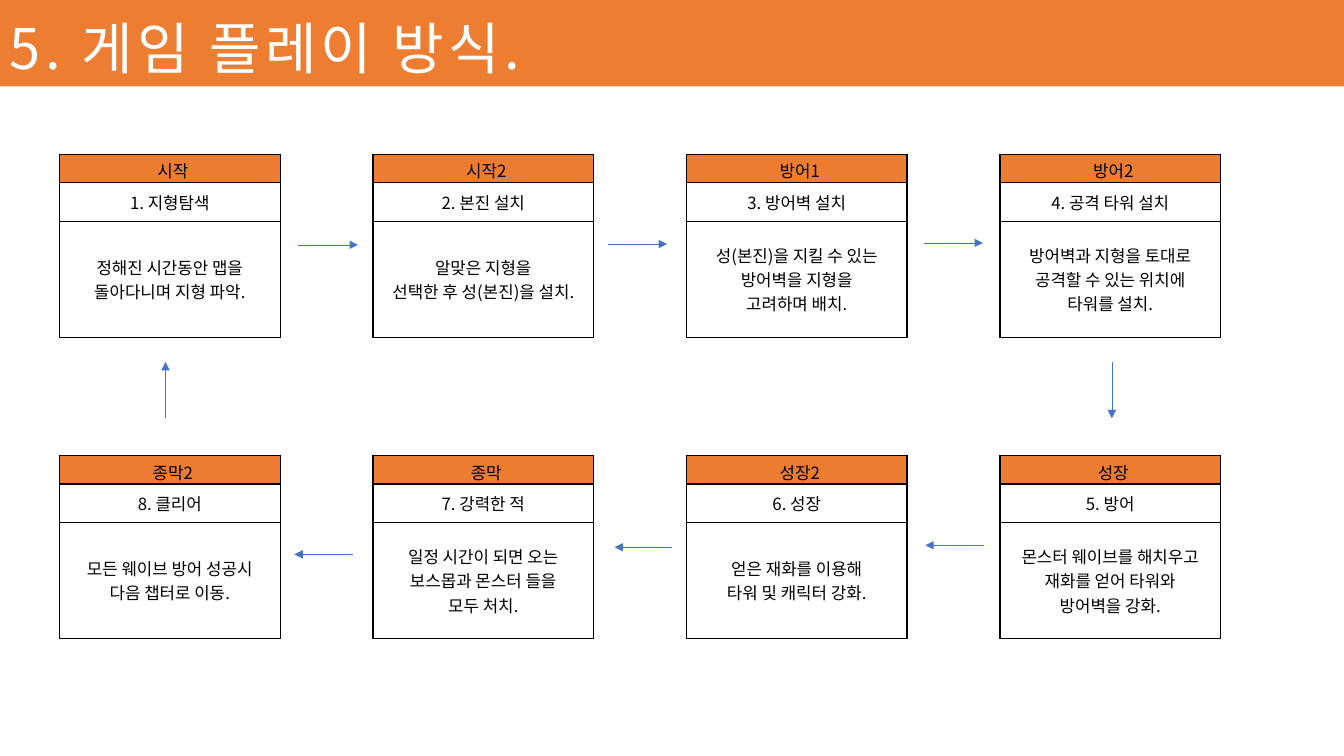
from lxml import etree
from pptx import Presentation
from pptx.dml.color import RGBColor
from pptx.enum.shapes import MSO_CONNECTOR, MSO_SHAPE
from pptx.enum.text import MSO_ANCHOR, PP_ALIGN
from pptx.oxml.ns import qn
from pptx.util import Cm, Pt

STRAIGHT = MSO_CONNECTOR.STRAIGHT
RECT = MSO_SHAPE.RECTANGLE
LEFT, CENTER = PP_ALIGN.LEFT, PP_ALIGN.CENTER
TOP, MIDDLE, BOTTOM = MSO_ANCHOR.TOP, MSO_ANCHOR.MIDDLE, MSO_ANCHOR.BOTTOM

FONT = "Noto Sans CJK KR"
COLORS = {"banner": "ED7D31", "header": "EC7C30", "arrow": "4472C4",
          "text": "000000", "border": "000000", "title": "FFFFFF"}

SLIDE_W, SLIDE_H = 33.87, 19.05
COLUMNS = 4
CARD_W, PITCH_X, PITCH_Y = 5.56, 7.9, 7.59
ROW_HEIGHTS = (0.71, 0.97, 2.92)

# Header, step name and description lines, in playing order
STEPS = [
    ("시작", "1. 지형탐색", ["정해진 시간동안 맵을", "돌아다니며 지형 파악."]),
    ("시작2", "2. 본진 설치", ["알맞은 지형을", "선택한 후 성(본진)을 설치."]),
    ("방어1", "3. 방어벽 설치",
     ["성(본진)을 지킬 수 있는", "방어벽을 지형을", "고려하며 배치."]),
    ("방어2", "4. 공격 타워 설치",
     ["방어벽과 지형을 토대로", "공격할 수 있는 위치에", "타워를 설치."]),
    ("성장", "5. 방어",
     ["몬스터 웨이브를 해치우고", "재화를 얻어 타워와", "방어벽을 강화."]),
    ("성장2", "6. 성장", ["얻은 재화를 이용해", "타워 및 캐릭터 강화."]),
    ("종막", "7. 강력한 적",
     ["일정 시간이 되면 오는", "보스몹과 몬스터 들을", "모두 처치."]),
    ("종막2", "8. 클리어", ["모든 웨이브 방어 성공시", "다음 챕터로 이동."]),
]

# Start x, y and end x, y inside the flow area
ARROWS = [
    (6.02, 2.28, 7.52, 2.28),
    (13.82, 2.26, 15.31, 2.26),
    (21.79, 2.23, 23.27, 2.23),
    (26.52, 5.23, 26.52, 6.65),
    (23.29, 9.85, 21.82, 9.85),
    (15.44, 9.9, 13.99, 9.9),
    (7.39, 10.08, 5.92, 10.08),
    (2.67, 6.65, 2.67, 5.23),
]


def rgb(name):
    return RGBColor.from_string(COLORS[name])


def add_text(tf, lines, size, color, align):
    for i, line in enumerate(lines):
        p = tf.paragraphs[0] if i == 0 else tf.add_paragraph()
        p.alignment = align
        r = p.add_run()
        r.text = line
        r.font.size = Pt(size)
        r.font.name = FONT
        r.font.color.rgb = rgb(color)
        ea = etree.SubElement(r._r.get_or_add_rPr(), qn("a:ea"))
        ea.set("typeface", FONT)


def add_borders(cell):
    tcPr = cell._tc.get_or_add_tcPr()
    for side in ("lnL", "lnR", "lnT", "lnB"):
        ln = etree.SubElement(tcPr, qn(f"a:{side}"), w=str(Pt(1)))
        fill = etree.SubElement(ln, qn("a:solidFill"))
        etree.SubElement(fill, qn("a:srgbClr"), val=COLORS["border"])


def add_banner(s, x, y, w, h):
    sp = s.shapes.add_shape(RECT, Cm(x), Cm(y), Cm(w), Cm(h))
    sp.shadow.inherit = False
    sp.fill.solid()
    sp.fill.fore_color.rgb = rgb("banner")
    sp.line.fill.background()
    tf = sp.text_frame
    tf.word_wrap = True
    tf.vertical_anchor = BOTTOM
    add_text(tf, ["5. 게임 플레이 방식."], 40, "title", LEFT)
    p = tf.paragraphs[0]
    p.line_spacing = 0.9
    p.runs[0]._r.get_or_add_rPr().set("spc", "300")


def add_card(s, x, y, w, step):
    header, name, description = step
    frame = s.shapes.add_table(len(ROW_HEIGHTS), 1, Cm(x), Cm(y), Cm(w),
                               Cm(sum(ROW_HEIGHTS)))
    table = frame.table
    table.first_row = table.horz_banding = False
    table.columns[0].width = Cm(w)
    for i, lines in enumerate(([header], [name], description)):
        table.rows[i].height = Cm(ROW_HEIGHTS[i])
        cell = table.cell(i, 0)
        add_borders(cell)
        if i == 0:
            cell.fill.solid()
            cell.fill.fore_color.rgb = rgb("header")
            cell.margin_left, cell.margin_top = Cm(0.15), Cm(0.1)
            cell.margin_right = cell.margin_bottom = Cm(0)
        else:
            cell.fill.background()
        cell.vertical_anchor = MIDDLE if i else TOP
        add_text(cell.text_frame, lines, 12, "text", CENTER)


def add_arrow(s, x1, y1, x2, y2):
    line = s.shapes.add_connector(STRAIGHT, Cm(x1), Cm(y1), Cm(x2), Cm(y2))
    line.line.color.rgb = rgb("arrow")
    line.line.width = Pt(0.5)
    etree.SubElement(line.line._get_or_add_ln(), qn("a:tailEnd"), type="triangle")
    etree.SubElement(line._element.spPr, qn("a:effectLst"))


def add_flow(s, x, y):
    # Cards run left to right, then back right to left
    for i, step in enumerate(STEPS):
        row, col = divmod(i, COLUMNS)
        if row:
            col = COLUMNS - 1 - col
        add_card(s, x + col * PITCH_X, y + row * PITCH_Y, CARD_W, step)
    # Arrows between the cards
    for x1, y1, x2, y2 in ARROWS:
        add_arrow(s, x + x1, y + y1, x + x2, y + y2)


def main():
    prs = Presentation()
    prs.slide_width, prs.slide_height = Cm(SLIDE_W), Cm(SLIDE_H)
    s = prs.slides.add_slide(prs.slide_layouts[6])
    add_banner(s, 0, 0, SLIDE_W, 2.18)
    add_flow(s, 1.5, 3.89)
    prs.save("out.pptx")


if __name__ == "__main__":
    main()
